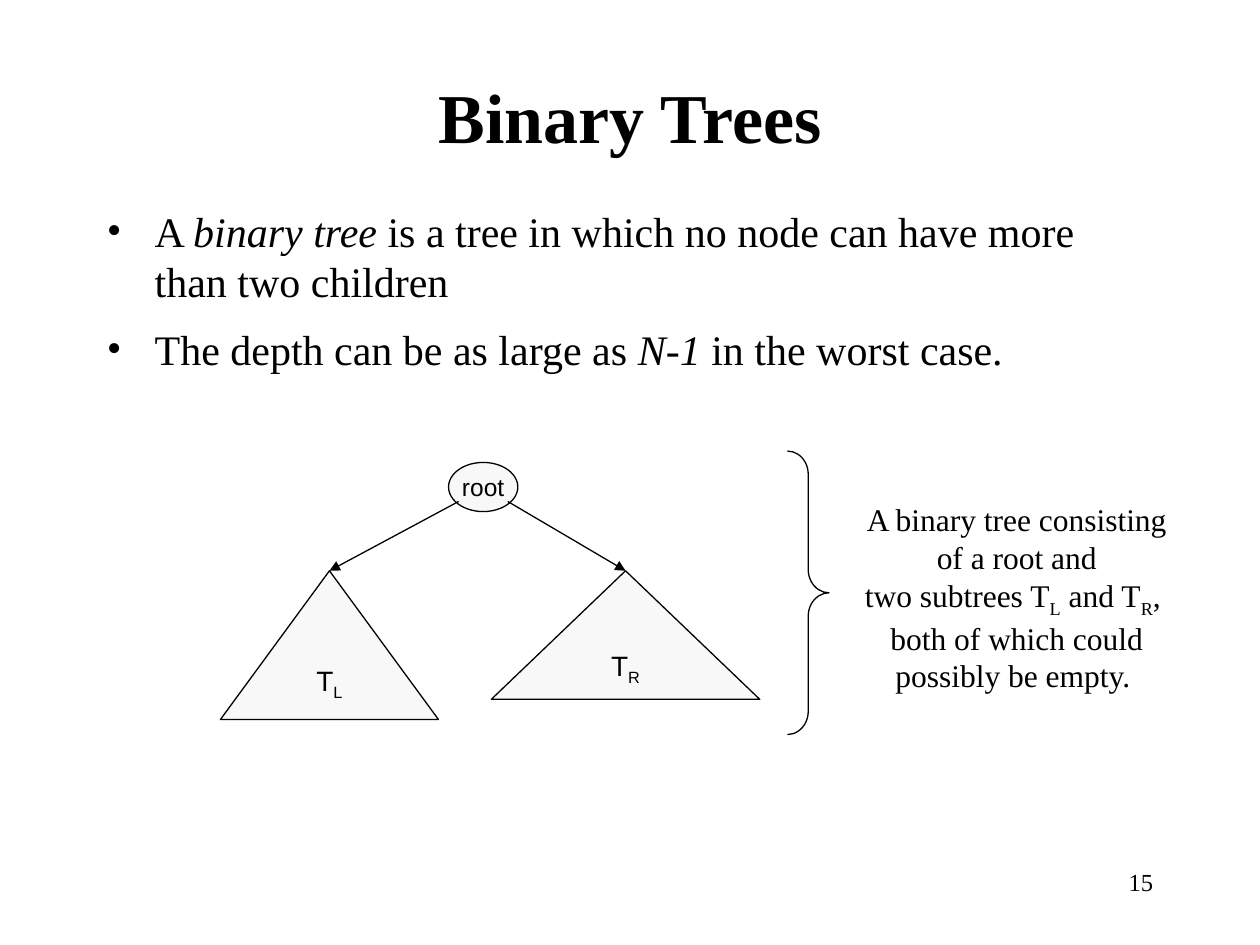
from dataclasses import dataclass

from lxml.etree import SubElement
from pptx import Presentation
from pptx.dml.color import RGBColor
from pptx.enum.shapes import MSO_CONNECTOR as Link, MSO_SHAPE as Form
from pptx.enum.text import MSO_ANCHOR as Anchor, PP_ALIGN as Align
from pptx.oxml.ns import qn
from pptx.util import Inches, Pt


@dataclass(frozen=True)
class Theme:
    ink: RGBColor = RGBColor(0, 0, 0)
    node: RGBColor = RGBColor(0xF8, 0xF8, 0xF8)
    serif: str = "Times New Roman"
    sans: str = "Arial"
    title: int = 40
    body: int = 24
    note: int = 18
    subtree: int = 16
    small: int = 14
    line: float = 0.75


def set_values(target, values):
    for name, value in values.items():
        setattr(target, name, value)


class TreeSlide:
    def __init__(self, page, theme):
        self.page = page
        self.theme = theme

    def fill_text(self, box, lines, size, face, align=Align.CENTER, wrap=True,
                  anchor=Anchor.TOP, bold=False, bullet=False, gap=0):
        frame = box.text_frame
        set_values(frame, {"word_wrap": wrap, "vertical_anchor": anchor})
        for index, line in enumerate(lines):
            para = frame.add_paragraph() if index else frame.paragraphs[0]
            if bullet:
                self.add_bullet(para)
            set_values(para, {"alignment": align, "space_before": Pt(gap if index else 0)})
            for text, style in line:
                span = para.add_run()
                span.text = text
                set_values(span.font, {"name": face, "size": Pt(size), "bold": bold,
                                       "italic": style == "italic"})
                span.font.color.rgb = self.theme.ink
                if style == "sub":
                    span.font._element.set("baseline", "-25000")

    def add_bullet(self, para):
        props = para._p.get_or_add_pPr()
        props.set("marL", str(Inches(0.38)))
        props.set("indent", str(-Inches(0.38)))
        SubElement(props, qn("a:buFont"), typeface=self.theme.serif)
        SubElement(props, qn("a:buChar"), char="•")

    def title(self, text, *place):
        box = self.page.shapes.title
        set_values(box, dict(zip(("left", "top", "width", "height"), map(Inches, place))))
        self.fill_text(box, [[(text, "")]], self.theme.title, self.theme.serif,
                       anchor=Anchor.MIDDLE, bold=True)

    def text(self, place, lines, size, **options):
        box = self.page.shapes.add_textbox(*map(Inches, place))
        self.fill_text(box, lines, size, self.theme.serif, **options)

    def outline(self, form, *place):
        shape = self.page.shapes.add_shape(form, *map(Inches, place))
        shape.shadow.inherit = False
        shape.line.color.rgb = self.theme.ink
        shape.line.width = Pt(self.theme.line)
        return shape

    def node(self, form, place, label, size):
        shape = self.outline(form, *place)
        shape.fill.solid()
        shape.fill.fore_color.rgb = self.theme.node
        self.fill_text(shape, [label], size, self.theme.sans, wrap=False,
                       anchor=Anchor.MIDDLE)
        return shape

    def brace(self, *place):
        shape = self.outline(Form.RIGHT_BRACE, *place)
        shape.fill.background()
        shape.adjustments[0] = 0.56

    def arrow(self, x, y, subtree):
        start = Inches(x), Inches(y)
        link = self.page.shapes.add_connector(Link.STRAIGHT, *start, *start)
        link.end_connect(subtree, 0)
        link.line.color.rgb = self.theme.ink
        link.line.width = Pt(self.theme.line)
        SubElement(link.line._get_or_add_ln(), qn("a:tailEnd"), type="triangle")
        SubElement(link._element.spPr, qn("a:effectLst"))


def main():
    deck = Presentation()
    set_values(deck, {"slide_width": Inches(10), "slide_height": Inches(7.5)})
    theme = Theme()
    slide = TreeSlide(deck.slides.add_slide(deck.slide_layouts[5]), theme)

    slide.title("Binary Trees", 0.75, 0.5, 8.5, 0.83)
    slide.text((0.75, 1.58, 8.5, 2.83), [
        [("A ", ""), ("binary tree", "italic"),
         (" is a tree in which no node can have more than two children", "")],
        [("The depth can be as large as ", ""), ("N-1", "italic"), (" in the worst case.", "")],
    ], theme.body, align=Align.LEFT, bullet=True, gap=10)

    slide.node(Form.OVAL, (3.56, 3.67, 0.55, 0.39), [("root", "")], theme.small)
    subtrees = (
        ("L", (1.75, 4.53, 1.73, 1.18), 3.64),
        ("R", (3.9, 4.53, 2.13, 1.02), 4.03),
    )
    for side, place, start in subtrees:
        subtree = slide.node(Form.ISOSCELES_TRIANGLE, place,
                             [("T", ""), (side, "sub")], theme.subtree)
        slide.arrow(start, 3.98, subtree)

    slide.brace(6.25, 3.58, 0.33, 2.25)
    slide.text((6.76, 3.92, 2.62, 1.64), [
        [("A binary tree consisting", "")],
        [("of a root and", "")],
        [("two subtrees T", ""), ("L", "sub"), (" and T", ""), ("R", "sub"), (", ", "")],
        [("both of which could", "")],
        [("possibly be empty. ", "")],
    ], theme.note, wrap=False)
    slide.text((7.17, 6.83, 2.08, 0.5), [[("15", "")]], theme.small, align=Align.RIGHT)

    deck.save("out.pptx")


if __name__ == "__main__":
    main()
